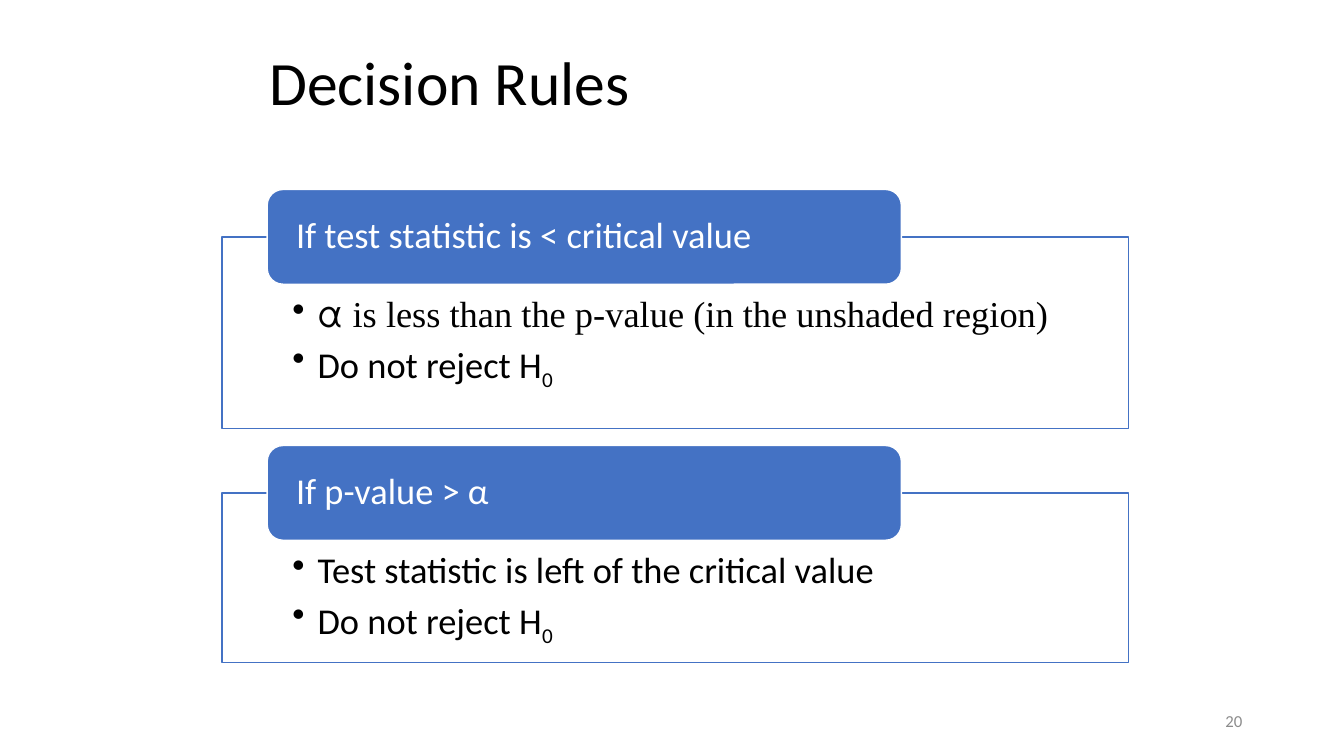
from lxml.etree import SubElement
from pptx import Presentation
from pptx.dml.color import RGBColor
from pptx.enum.shapes import MSO_SHAPE as SHAPE
from pptx.enum.text import MSO_ANCHOR as ANCHOR, PP_ALIGN as ALIGN
from pptx.oxml.ns import qn
from pptx.util import Inches, Pt

BLUE, WHITE, BLACK, GREY = "4472C4", "FFFFFF", "000000", "8C8C8C"
BODY_FONT = "Calibri"

# Each rule: header, panel top, panel height, bullets as (text, font, subscript) runs
DO_NOT_REJECT = [("Do not reject H", BODY_FONT, False), ("0", BODY_FONT, True)]
RULES = [
    ("If test statistic is < critical value", 2.35, 1.9, [
        [("α", "TeX Gyre Adventor", False),
         (" is less than the p-value (in the unshaded region)", "Times New Roman", False)],
        DO_NOT_REJECT]),
    ("If p-value > α", 4.89, 1.68, [
        [("Test statistic is left of the critical value", BODY_FONT, False)],
        DO_NOT_REJECT]),
]


def rgb(color):
    return RGBColor.from_string(color)


def style(run, size, color, font=BODY_FONT):
    run.font.size = Pt(size)
    run.font.name = font
    run.font.color.rgb = rgb(color)


def set_frame(frame, anchor, left, top, right, bottom):
    frame.word_wrap = True
    frame.vertical_anchor = anchor
    frame.margin_left, frame.margin_top = Inches(left), Inches(top)
    frame.margin_right, frame.margin_bottom = Inches(right), Inches(bottom)


def add_box(slide, kind, left, top, width, height, fill, line):
    box = slide.shapes.add_shape(kind, Inches(left), Inches(top), Inches(width), Inches(height))
    box.shadow.inherit = False
    box.fill.solid()
    box.fill.fore_color.rgb = rgb(fill)
    box.line.color.rgb = rgb(line)
    box.line.width = Pt(1)
    return box


def add_bullet(paragraph, runs):
    paragraph.level = 1
    properties = paragraph._p.get_or_add_pPr()
    properties.set("marL", str(Inches(0.25)))
    properties.set("indent", str(Inches(-0.25)))
    SubElement(properties, qn("a:buChar"), char="•")
    paragraph.alignment = ALIGN.LEFT
    paragraph.line_spacing = 0.9
    paragraph.space_after = Pt(5)
    for text, font, subscript in runs:
        run = paragraph.add_run()
        run.text = text
        style(run, 26, BLACK, font)
        if subscript:
            run._r.get_or_add_rPr().set("baseline", "-25000")


def add_panel(slide, top, height, bullets):
    panel = add_box(slide, SHAPE.RECTANGLE, 2.2, top, 8.99, height, WHITE, BLUE)
    # Slightly transparent fill
    color = panel.fill._xPr.find(".//" + qn("a:srgbClr"))
    SubElement(color, qn("a:alpha"), val="90000")
    frame = panel.text_frame
    set_frame(frame, ANCHOR.TOP, 0.7, 0.59, 0.7, 0.2)
    for index, runs in enumerate(bullets):
        add_bullet(frame.add_paragraph() if index else frame.paragraphs[0], runs)


def add_header(slide, text, panel_top):
    height = 0.94
    header = add_box(slide, SHAPE.ROUNDED_RECTANGLE, 2.65, panel_top - height / 2,
                     6.29, height, BLUE, WHITE)
    frame = header.text_frame
    set_frame(frame, ANCHOR.MIDDLE, 0.24, 0, 0.24, 0)
    frame.text = text
    paragraph = frame.paragraphs[0]
    paragraph.alignment = ALIGN.LEFT
    paragraph.line_spacing = 0.9
    style(paragraph.runs[0], 26, WHITE)


def set_title(slide, text):
    title = slide.shapes.title
    title.left, title.top = Inches(2.57), Inches(0.31)
    title.width, title.height = Inches(7.25), Inches(1.07)
    frame = title.text_frame
    set_frame(frame, ANCHOR.MIDDLE, 0.1, 0.05, 0.1, 0.05)
    frame.text = text
    paragraph = frame.paragraphs[0]
    paragraph.alignment = ALIGN.LEFT
    paragraph.line_spacing = 0.9
    style(paragraph.runs[0], 44, BLACK)


def add_page_number(slide, number):
    page = slide.shapes.add_textbox(Inches(9.42), Inches(6.95), Inches(3), Inches(0.4))
    frame = page.text_frame
    set_frame(frame, ANCHOR.MIDDLE, 0.1, 0.05, 0.1, 0.05)
    frame.text = number
    frame.paragraphs[0].alignment = ALIGN.RIGHT
    style(frame.paragraphs[0].runs[0], 12, GREY)


def main():
    deck = Presentation()
    deck.slide_width, deck.slide_height = Inches(13.33), Inches(7.5)
    slide = deck.slides.add_slide(deck.slide_layouts[5])
    set_title(slide, "Decision Rules")
    for header, top, height, bullets in RULES:
        add_panel(slide, top, height, bullets)
        add_header(slide, header, top)
    add_page_number(slide, "20")
    deck.save("out.pptx")


if __name__ == "__main__":
    main()
